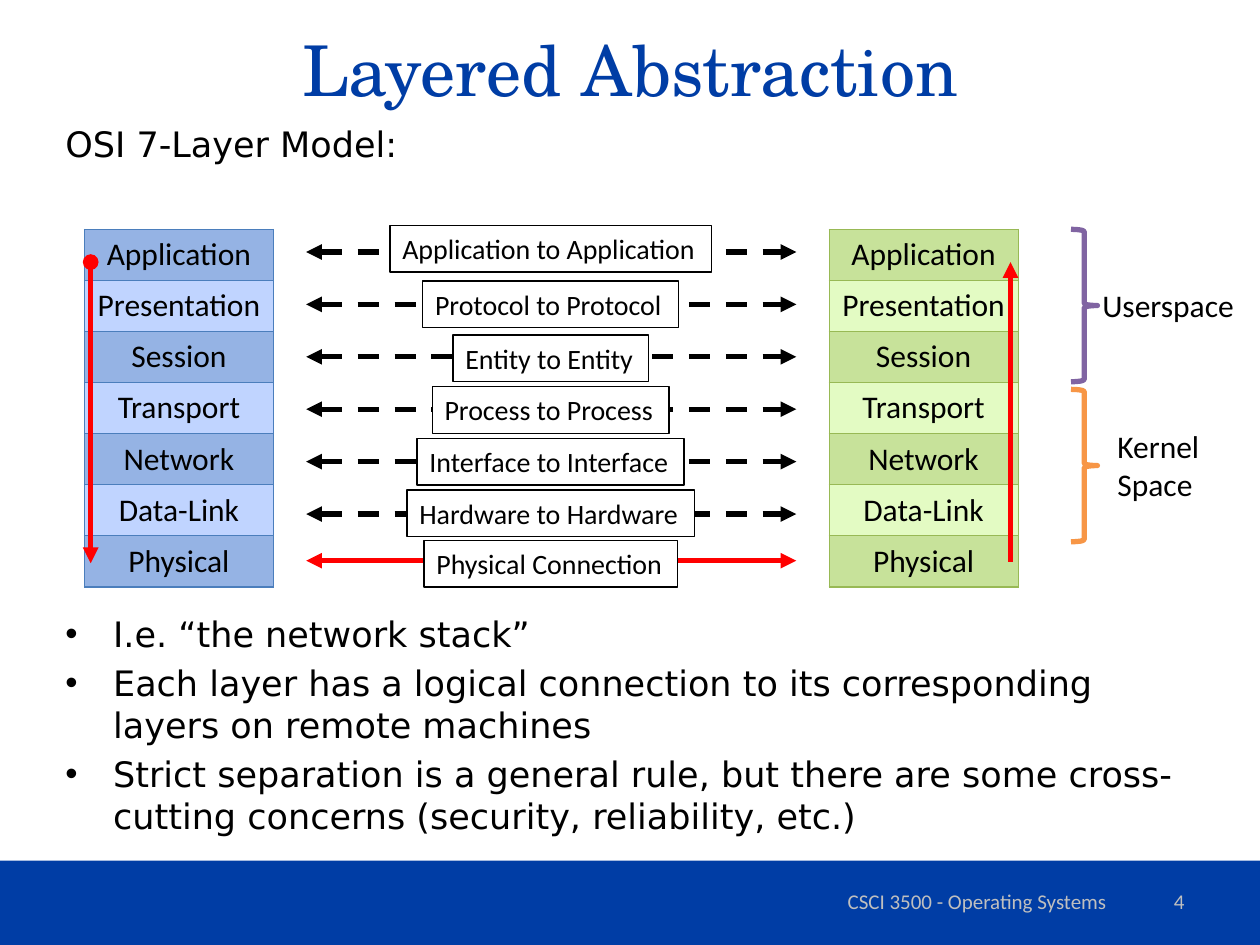
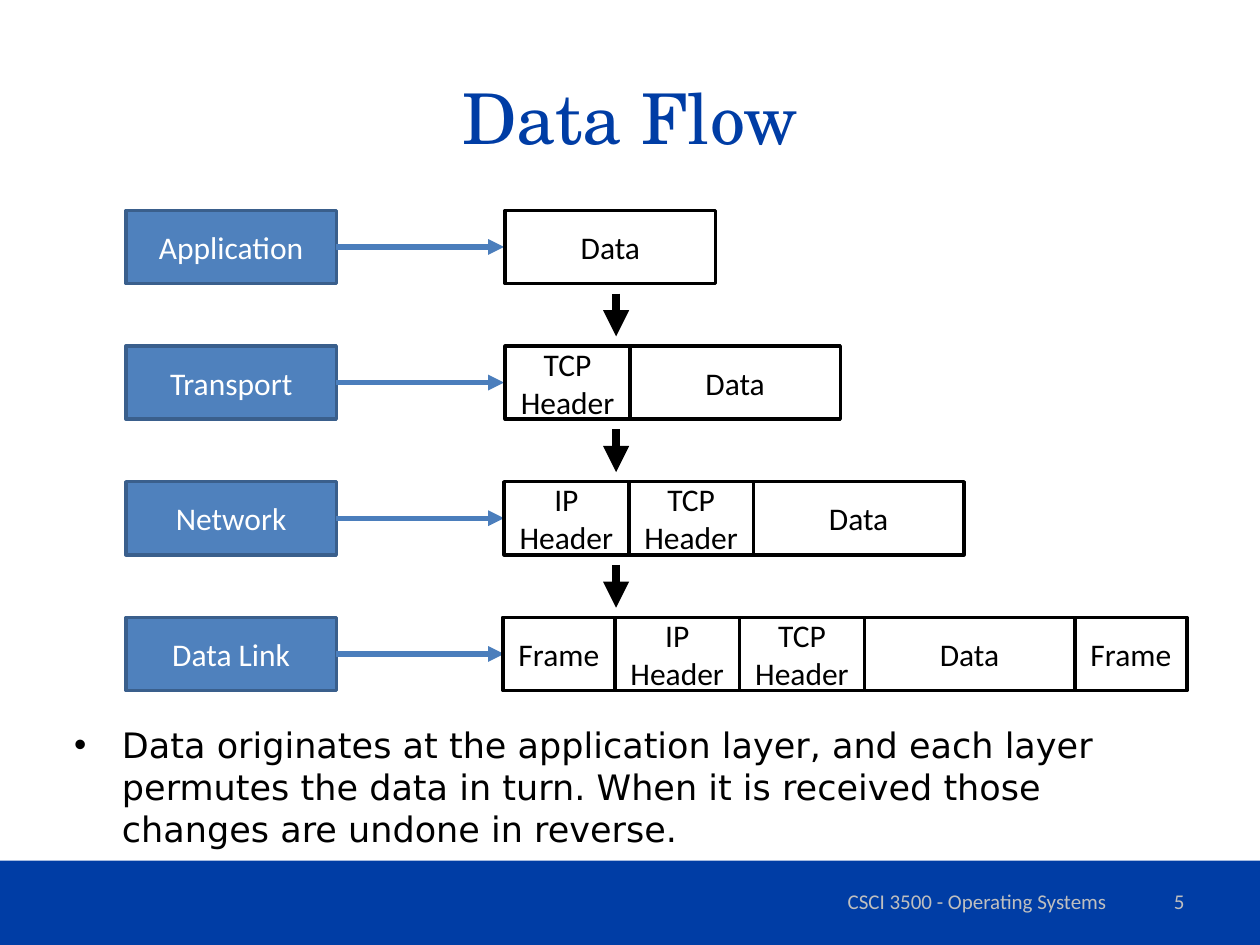
from lxml import etree
from pptx import Presentation
from pptx.dml.color import RGBColor
from pptx.enum import dml, shapes, text
from pptx.oxml import ns
from pptx.util import Inches, Pt

WHITE = RGBColor(0xFF, 0xFF, 0xFF)
BLACK = RGBColor(0, 0, 0)
RED = RGBColor(0xFF, 0, 0)
NAVY = RGBColor(0x00, 0x3D, 0xA5)
GREY = RGBColor(0xBF, 0xBF, 0xBF)
BLUE = RGBColor(0x4F, 0x81, 0xBD)
BLUE_EDGE = RGBColor(0x3A, 0x5F, 0x8C)
BLUE_LINE = RGBColor(0x4B, 0x7E, 0xBC)
BLUE_ROWS = RGBColor(0x95, 0xB3, 0xE4), RGBColor(0xC0, 0xD4, 0xFF)
GREEN_LINE = RGBColor(0x98, 0xB9, 0x55)
GREEN_ROWS = RGBColor(0xC7, 0xE2, 0x9A), RGBColor(0xE3, 0xFB, 0xC3)
PURPLE = RGBColor(0x80, 0x64, 0xA2)
ORANGE = RGBColor(0xF7, 0x96, 0x46)

TITLE_FONT, BODY_FONT, LABEL_FONT = "TeX Gyre Schola", "DejaVu Sans", "Calibri"
LEFT, CENTER, RIGHT = text.PP_ALIGN.LEFT, text.PP_ALIGN.CENTER, text.PP_ALIGN.RIGHT
TOP, MIDDLE = text.MSO_ANCHOR.TOP, text.MSO_ANCHOR.MIDDLE
RECT, BRACE = shapes.MSO_SHAPE.RECTANGLE, shapes.MSO_SHAPE.RIGHT_BRACE

LAYERS = ["Application", "Presentation", "Session", "Transport",
          "Network", "Data-Link", "Physical"]
# wording, top and width of each link label
LINKS = [
    ("Application to Application", 1.79, 2.55),
    ("Protocol to Protocol", 2.23, 2.03),
    ("Entity to Entity", 2.66, 1.55),
    ("Process to Process", 3.07, 1.88),
    ("Interface to Interface", 3.48, 2.12),
    ("Hardware to Hardware", 3.89, 2.28),
    ("Physical Connection", 4.29, 2.01),
]
# layer, left edge of its packet, parts of the packet
PACKETS = [
    ("Application", 4.01, ["Data"]),
    ("Transport", 4.01, ["TCP Header", "Data"]),
    ("Network", 4.0, ["IP Header", "TCP Header", "Data"]),
    ("Data Link", 3.99, ["Frame", "IP Header", "TCP Header", "Data", "Frame"]),
]
PART_WIDTHS = {"Data": 1.67, "TCP Header": 0.99, "IP Header": 0.99, "Frame": 0.89}


def add_xml(parent, tag, **attrs):
    return etree.SubElement(parent, ns.qn(tag), attrs)


class Deck:
    """Holds the presentation, its style and the slide being filled."""

    def __init__(self):
        self.prs = Presentation()
        self.prs.slide_width, self.prs.slide_height = Inches(10), Inches(7.5)
        self.s = None

    def slide(self, title, title_top, number):
        self.s = self.prs.slides.add_slide(self.prs.slide_layouts[6])
        self.shape(RECT, 0, 6.83, 10, 0.67, fill=NAVY)
        self.label(title, 0.5, title_top, 9, 1.25, TITLE_FONT, 40, NAVY, CENTER, MIDDLE)
        self.label("CSCI 3500 - Operating Systems", 6.17, 6.95, 3.17, 0.4,
                   size=12, color=GREY, align=CENTER, anchor=MIDDLE)
        self.label(str(number), 7.17, 6.95, 2.33, 0.4,
                   size=12, color=GREY, align=RIGHT, anchor=MIDDLE)

    def put_text(self, sp, words, font=LABEL_FONT, size=18, color=BLACK,
                 align=LEFT, anchor=TOP, wrap=True):
        tf = sp.text_frame
        tf.word_wrap = wrap
        tf.vertical_anchor = anchor
        if not wrap:
            tf.auto_size = text.MSO_AUTO_SIZE.SHAPE_TO_FIT_TEXT
        p = tf.paragraphs[0]
        p.text = words
        self.style_runs(p, font, size, color, align)

    def style_runs(self, p, font, size, color, align):
        p.alignment = align
        for r in p.runs:
            r.font.name, r.font.size = font, Pt(size)
            r.font.color.rgb = color

    def label(self, words, x, y, w, h, *style, **options):
        sp = self.s.shapes.add_textbox(Inches(x), Inches(y), Inches(w), Inches(h))
        self.put_text(sp, words, *style, **options)

    def bullets(self, items, x, y, w, h):
        sp = self.s.shapes.add_textbox(Inches(x), Inches(y), Inches(w), Inches(h))
        tf = sp.text_frame
        tf.word_wrap = True
        for i, item in enumerate(items):
            p = tf.add_paragraph() if i else tf.paragraphs[0]
            p.text = item
            p.space_before = Pt(4 if i else 0)
            pPr = p._p.get_or_add_pPr()
            pPr.set("marL", str(Inches(0.38)))
            pPr.set("indent", str(-Inches(0.38)))
            add_xml(pPr, "a:buFont", typeface="Arial")
            add_xml(pPr, "a:buChar", char="•")
            self.style_runs(p, BODY_FONT, 20, BLACK, LEFT)

    def shape(self, kind, x, y, w, h, fill=None, line=None, weight=2):
        sp = self.s.shapes.add_shape(kind, Inches(x), Inches(y), Inches(w), Inches(h))
        sp.shadow.inherit = False
        if fill is None:
            sp.fill.background()
        else:
            sp.fill.solid()
            sp.fill.fore_color.rgb = fill
        if line is None:
            sp.line.fill.background()
        else:
            sp.line.color.rgb, sp.line.width = line, Pt(weight)
        return sp

    def box(self, words, x, y, w, fill=WHITE, line=BLACK, color=BLACK):
        sp = self.shape(RECT, x, y, w, 0.58, fill, line)
        self.put_text(sp, words, color=color, align=CENTER, anchor=MIDDLE)

    def arrow(self, x1, y1, x2, y2, color, weight=3, head=None, dashed=False):
        """Draw a line with a triangle at its end and, if named, a head at its start."""
        cn = self.s.shapes.add_connector(shapes.MSO_CONNECTOR.STRAIGHT, Inches(x1),
                                         Inches(y1), Inches(x2), Inches(y2))
        cn.line.color.rgb, cn.line.width = color, Pt(weight)
        if dashed:
            cn.line.dash_style = dml.MSO_LINE.DASH
        ln = cn.line._get_or_add_ln()
        if head:
            add_xml(ln, "a:headEnd", type=head)
        add_xml(ln, "a:tailEnd", type="triangle")
        add_xml(cn._element.spPr, "a:effectLst")

    def stack(self, x, y, fills, edge):
        """Draw the layers as a one-column table with alternating fills."""
        row = 2.84 / len(LAYERS)
        tbl = self.s.shapes.add_table(len(LAYERS), 1, Inches(x), Inches(y),
                                      Inches(1.5), Inches(2.84)).table
        tbl.first_row = False
        for i, layer in enumerate(LAYERS):
            tbl.rows[i].height = Inches(row)
            cell = tbl.cell(i, 0)
            cell.text = layer
            cell.fill.solid()
            cell.fill.fore_color.rgb = fills[i % 2]
            self.style_runs(cell.text_frame.paragraphs[0], LABEL_FONT, 18, BLACK, CENTER)
            self.borders(cell, edge)

    def borders(self, cell, color):
        tcPr = cell._tc.get_or_add_tcPr()
        for i, side in enumerate("LRTB"):
            ln = etree.Element(ns.qn("a:ln" + side), w=str(Pt(0.75)))
            add_xml(add_xml(ln, "a:solidFill"), "a:srgbClr", val=str(color))
            tcPr.insert(i, ln)


def layered_abstraction(deck):
    deck.slide("Layered Abstraction", -0.08, 4)
    deck.label("OSI 7-Layer Model:", 0.42, 0.92, 9, 0.45, BODY_FONT, 20)
    deck.bullets([
        "I.e. “the network stack”",
        "Each layer has a logical connection to its corresponding layers on remote machines",
        "Strict separation is a general rule, but there are some cross-cutting concerns "
        "(security, reliability, etc.)",
    ], 0.42, 4.81, 9, 2)
    deck.stack(0.67, 1.82, BLUE_ROWS, BLUE_LINE)
    deck.stack(6.58, 1.82, GREEN_ROWS, GREEN_LINE)

    for i in range(len(LINKS) - 1):
        y = 2 + i * 2.08 / 5
        deck.arrow(2.43, y, 6.32, y, BLACK, head="triangle", dashed=True)
    deck.arrow(2.43, 4.45, 6.32, 4.45, RED, head="triangle")
    deck.arrow(0.72, 2.08, 0.72, 4.47, RED, head="oval")
    deck.arrow(8.02, 4.46, 8.02, 2.08, RED)

    for words, y, w in LINKS:
        sp = deck.shape(RECT, 4.37 - w / 2, y, w, 0.37, WHITE, BLACK, 0.75)
        deck.put_text(sp, words, size=16, wrap=False)

    deck.shape(BRACE, 8.5, 1.82, 0.21, 1.21, line=PURPLE, weight=3)
    deck.shape(BRACE, 8.5, 3.09, 0.21, 1.21, line=ORANGE, weight=3)
    deck.label("Userspace", 8.65, 2.22, 1.26, 0.4, wrap=False)
    deck.label("Kernel\vSpace", 8.77, 3.34, 0.86, 0.71, wrap=False)


def data_flow(deck):
    deck.slide("Data Flow", 0.3, 5)
    for i, (layer, x, parts) in enumerate(PACKETS):
        y = 1.67 + i * 3.23 / 3
        deck.box(layer, 1, y, 1.67, BLUE, BLUE_EDGE, WHITE)
        deck.arrow(2.67, y + 0.29, 4, y + 0.29, BLUE_LINE)
        for part in parts:
            deck.box(part, x, y, PART_WIDTHS[part])
            x += PART_WIDTHS[part]
        if i < len(PACKETS) - 1:
            deck.arrow(4.89, y + 0.66, 4.89, y + 1, BLACK, weight=5)
    deck.bullets([
        "Data originates at the application layer, and each layer permutes the data in "
        "turn. When it is received those changes are undone in reverse.",
    ], 0.49, 5.69, 9, 1.03)


def main():
    deck = Deck()
    layered_abstraction(deck)
    data_flow(deck)
    deck.prs.save("out.pptx")


if __name__ == "__main__":
    main()
